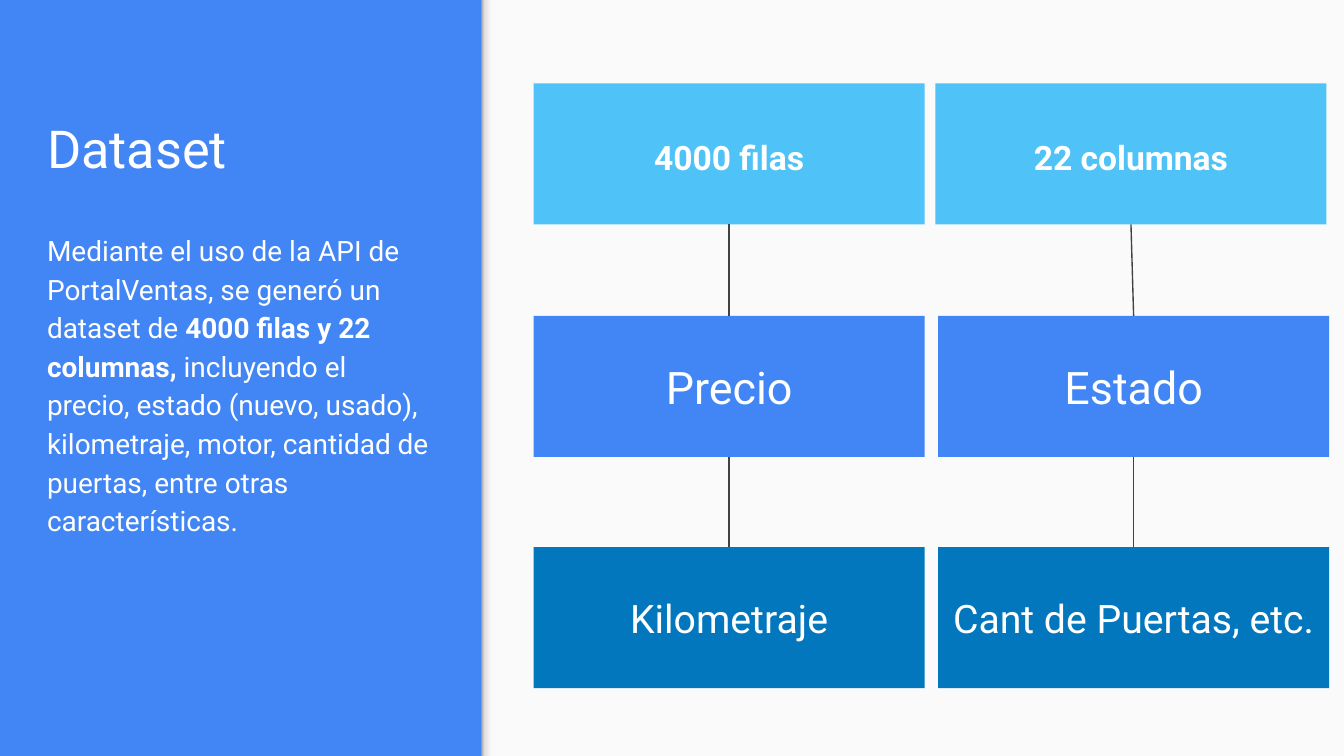
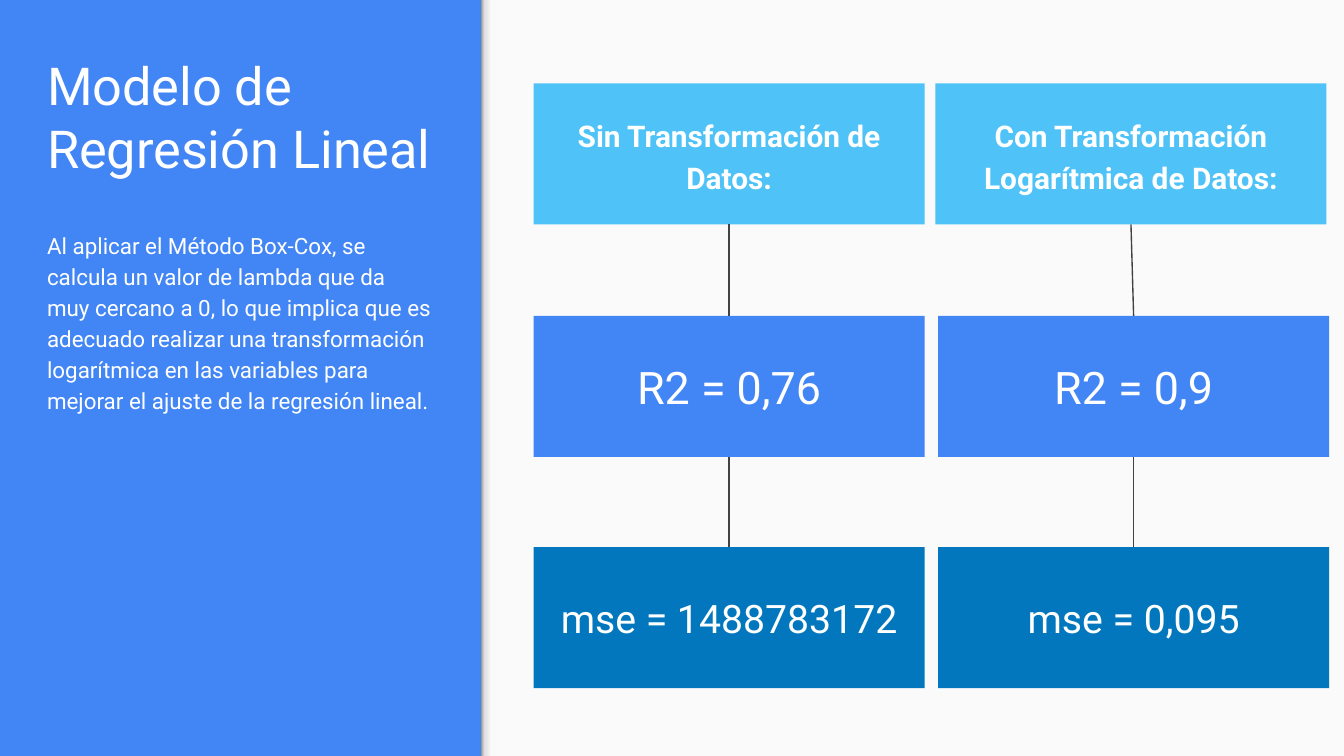
from lxml import etree
from pptx import Presentation
from pptx.dml.color import RGBColor
from pptx.enum.shapes import MSO_CONNECTOR as Connector, MSO_SHAPE as Shape
from pptx.enum.text import MSO_ANCHOR as Anchor, MSO_AUTO_SIZE as AutoSize, PP_ALIGN as Align
from pptx.oxml.ns import qn
from pptx.util import Inches, Pt

FONT = "Roboto"
SLIDE_W = 10
SLIDE_H = SLIDE_W * 9 / 16
PANEL_LEFT, EDGE_W = 3.58, 0.12
CARD_W, CARD_H = 2.91, 1.05
ROW_TOPS = (0.62, 2.35, 4.07)
COLUMN_LEFTS = ((3.97, 3.97, 3.97), (6.96, 6.98, 6.98))
COLORS = {
    "blue": "4285F4",
    "sky": "4FC3F7",
    "deep": "0277BD",
    "panel": "FAFAFA",
    "line": "424242",
    "white": "FFFFFF",
    "edge_light": "F9F9F9",
    "edge_mid": "DEDEDE",
    "edge_dark": "999999",
}
ROW_COLORS = ("sky", "blue", "deep")
EDGE_STOPS = ((0, "edge_light"), (36, "edge_light"), (80, "edge_mid"), (100, "edge_dark"))

SLIDES = [
    {
        "title": "Dataset",
        "body": [
            ("Mediante el uso de la API de PortalVentas, se generó un dataset de", False),
            (" 4000 filas y 22 columnas,", True),
            (" incluyendo el precio, estado (nuevo, usado), kilometraje, motor, "
             "cantidad de puertas, entre otras características.", False),
        ],
        "body_size": 15,
        "heading_size": 18,
        "columns": [
            ("4000 filas", "Precio", "Kilometraje"),
            ("22 columnas", "Estado", "Cant de Puertas, etc."),
        ],
    },
    {
        "title": "Modelo de Regresión Lineal",
        "body": [
            ("Al aplicar el Método Box-Cox, se calcula un valor de lambda que da muy "
             "cercano a 0, lo que implica que es adecuado realizar una transformación "
             "logarítmica en las variables para mejorar el ajuste de la regresión "
             "lineal.", False),
        ],
        "body_size": 12,
        "heading_size": 16,
        "columns": [
            ("Sin Transformación de Datos:", "R2 = 0,76", "mse = 1488783172"),
            ("Con Transformación Logarítmica de Datos:", "R2 = 0,9", "mse = 0,095"),
        ],
    },
]


def rgb(name):
    return RGBColor.from_string(COLORS[name])


def write(holder, runs, size, align=Align.LEFT, anchor=Anchor.TOP, spacing=1.0, after=0):
    frame = holder.text_frame
    frame.word_wrap = True
    frame.auto_size = AutoSize.NONE
    frame.vertical_anchor = anchor
    frame.margin_left = frame.margin_right = Inches(0.1)
    frame.margin_top = frame.margin_bottom = Inches(0.1)
    paragraph = frame.paragraphs[0]
    paragraph.alignment = align
    paragraph.line_spacing = spacing
    paragraph.space_before = Pt(0)
    paragraph.space_after = Pt(after)
    for text, bold in runs:
        run = paragraph.add_run()
        run.text = text
        run.font.name = FONT
        run.font.size = Pt(size)
        run.font.bold = bold
        run.font.color.rgb = rgb("white")


def place(holder, left, top, width, height):
    holder.left, holder.top = Inches(left), Inches(top)
    holder.width, holder.height = Inches(width), Inches(height)


def remove_bullet(holder):
    props = holder.text_frame.paragraphs[0]._p.get_or_add_pPr()
    props.set("marL", "0")
    props.set("indent", "0")
    etree.SubElement(props, qn("a:buNone"))


def add_block(slide, left, top, width, height, color):
    block = slide.shapes.add_shape(
        Shape.RECTANGLE, Inches(left), Inches(top), Inches(width), Inches(height))
    block.shadow.inherit = False
    block.fill.solid()
    block.fill.fore_color.rgb = rgb(color)
    block.line.fill.background()
    return block


def add_panel(slide):
    add_block(slide, PANEL_LEFT, 0, SLIDE_W - PANEL_LEFT, SLIDE_H, "panel")
    edge_left = PANEL_LEFT + EDGE_W / 2 - SLIDE_H / 2
    edge = add_block(slide, edge_left, (SLIDE_H - EDGE_W) / 2, SLIDE_H, EDGE_W, "panel")
    edge.rotation = 270
    edge.fill.gradient()
    edge.fill.gradient_angle = 90
    stops = edge._element.spPr.find(qn("a:gradFill")).find(qn("a:gsLst"))
    for stop in list(stops):
        stops.remove(stop)
    for percent, color in EDGE_STOPS:
        stop = etree.SubElement(stops, qn("a:gs"), pos=str(percent * 1000))
        etree.SubElement(stop, qn("a:srgbClr"), val=COLORS[color])


def link(slide, upper, lower):
    line = slide.shapes.add_connector(Connector.STRAIGHT, 0, 0, 0, 0)
    line.begin_connect(upper, 2)
    line.end_connect(lower, 0)
    line.line.color.rgb = rgb("line")
    line.line.width = Pt(0.75)
    etree.SubElement(line._element.spPr, qn("a:effectLst"))


def add_column(slide, lefts, labels, heading_size):
    formats = (
        {"size": heading_size, "spacing": 1.15, "after": 16},
        {"size": 24},
        {"size": 21},
    )
    above = None
    for row, (left, label) in enumerate(zip(lefts, labels)):
        card = add_block(slide, left, ROW_TOPS[row], CARD_W, CARD_H, ROW_COLORS[row])
        write(card, [(label, row == 0)], align=Align.CENTER, anchor=Anchor.MIDDLE,
              **formats[row])
        if above is not None:
            link(slide, above, card)
        above = card


def add_slide(prs, content):
    slide = prs.slides.add_slide(prs.slide_layouts[1])
    add_panel(slide)
    title, body = slide.shapes.title, slide.placeholders[1]
    place(title, 0.25, 0.39, 3.07, 1.04)
    write(title, [(content["title"], False)], 28, anchor=Anchor.BOTTOM)
    place(body, 0.25, 1.6, 3.07, 3.46)
    remove_bullet(body)
    write(body, content["body"], content["body_size"], spacing=1.15, after=16)
    for lefts, labels in zip(COLUMN_LEFTS, content["columns"]):
        add_column(slide, lefts, labels, content["heading_size"])


def main():
    prs = Presentation()
    prs.slide_width, prs.slide_height = Inches(SLIDE_W), Inches(SLIDE_H)
    backdrop = prs.slide_master.background.fill
    backdrop.solid()
    backdrop.fore_color.rgb = rgb("blue")
    for content in SLIDES:
        add_slide(prs, content)
    prs.save("out.pptx")


if __name__ == "__main__":
    main()
